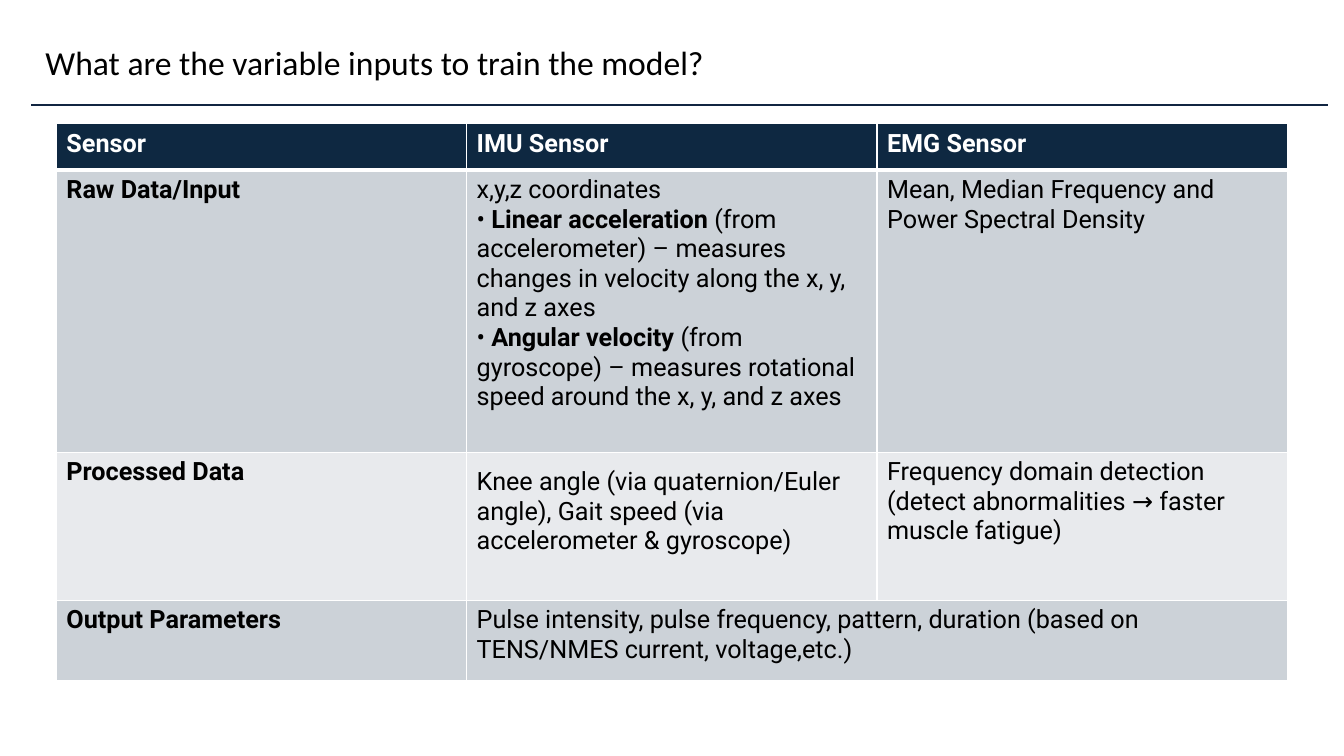
from lxml import etree
from pptx import Presentation
from pptx.dml.color import RGBColor
from pptx.enum.shapes import MSO_CONNECTOR
from pptx.enum.text import MSO_ANCHOR, PP_ALIGN
from pptx.oxml.ns import qn
from pptx.util import Cm, Pt

STRAIGHT = MSO_CONNECTOR.STRAIGHT
TOP, MIDDLE = MSO_ANCHOR.TOP, MSO_ANCHOR.MIDDLE
LEFT = PP_ALIGN.LEFT
TITLE_ONLY = 5

HEADER = [[[("Sensor", True)]], [[("IMU Sensor", True)]], [[("EMG Sensor", True)]]]
RAW_DATA = [
    [[("Raw Data/Input", True)]],
    [
        [("x,y,z coordinates", False)],
        [("• ", False), ("Linear acceleration", True),
         (" (from accelerometer) – measures changes in velocity along the x, y, and z axes", False)],
        [("• ", False), ("Angular velocity", True),
         (" (from gyroscope) – measures rotational speed around the x, y, and z axes", False)],
    ],
    [[("Mean, Median Frequency and Power Spectral Density", False)]],
]
PROCESSED = [
    [[("Processed Data", True)]],
    [[("Knee angle (via quaternion/Euler angle), Gait speed (via accelerometer & gyroscope)", False)]],
    [[("Frequency domain detection (detect abnormalities → faster muscle fatigue)", False)]],
]
OUTPUT = [
    [[("Output Parameters", True)]],
    [[("Pulse intensity, pulse frequency, pattern, duration (based on TENS/NMES current, voltage,etc.)", False)]],
]
ROWS = [HEADER, RAW_DATA, PROCESSED, OUTPUT]
ROW_HEIGHTS = [1.17, 7.11, 3.73, 2.01]
COLUMN_WIDTH = 10.34


def color(value):
    return RGBColor.from_string(value)


class SlideBuilder:
    black, white, navy, rule_navy = "000000", "FFFFFF", "0E2841", "112541"
    bands = ["CCD2D8", "E8EAED"]
    title_font, table_font = "Calibri", "Roboto"

    def __init__(self, page):
        self.page = page

    def span(self, para, text, font, size, ink, bold=False):
        span = para.add_run()
        span.text = text
        span.font.name = font
        span.font.size = Pt(size)
        span.font.bold = bold
        span.font.color.rgb = color(ink)

    def title(self, text, left, top, width, height):
        box = self.page.shapes.title
        box.left, box.top, box.width, box.height = Cm(left), Cm(top), Cm(width), Cm(height)
        box.text_frame.word_wrap = True
        box.text_frame.vertical_anchor = TOP
        para = box.text_frame.paragraphs[0]
        para.alignment = LEFT
        self.span(para, text, self.title_font, 24, self.black)

    def rule(self, left, right, top):
        line = self.page.shapes.add_connector(STRAIGHT, Cm(left), Cm(top), Cm(right), Cm(top))
        line.line.color.rgb = color(self.rule_navy)
        line.line.width = Pt(1.5)
        etree.SubElement(line._element.spPr, qn("a:effectLst"))

    def borders(self, cell, bottom, top):
        properties = cell._tc.get_or_add_tcPr()
        widths = {"lnL": 1, "lnR": 1, "lnT": top, "lnB": bottom}
        for position, (side, width) in enumerate(widths.items()):
            line = etree.Element(qn(f"a:{side}"), w=str(Pt(width)))
            fill = etree.SubElement(line, qn("a:solidFill"))
            etree.SubElement(fill, qn("a:srgbClr"), val=self.white)
            properties.insert(position, line)

    def cell_text(self, cell, paragraphs, ink):
        for number, spans in enumerate(paragraphs):
            frame = cell.text_frame
            para = frame.add_paragraph() if number else frame.paragraphs[0]
            for text, bold in spans:
                self.span(para, text, self.table_font, 18, ink, bold)

    def table(self, rows, heights, column_width, left, top):
        columns = len(rows[0])
        frame = self.page.shapes.add_table(
            len(rows), columns, Cm(left), Cm(top), Cm(column_width * columns), Cm(sum(heights)))
        table = frame.table
        for column in table.columns:
            column.width = Cm(column_width)
        for row, height in enumerate(heights):
            table.rows[row].height = Cm(height)
            for column in range(columns):
                cell = table.cell(row, column)
                cell.fill.solid()
                cell.fill.fore_color.rgb = color(self.bands[(row - 1) % 2] if row else self.navy)
                self.borders(cell, 1 if row else 3, 3 if row == 1 else 1)
            for column, paragraphs in enumerate(rows[row]):
                self.cell_text(table.cell(row, column), paragraphs, self.black if row else self.white)
        return table


def main():
    deck = Presentation()
    deck.slide_width, deck.slide_height = Cm(33.87), Cm(19.05)
    builder = SlideBuilder(deck.slides.add_slide(deck.slide_layouts[TITLE_ONLY]))
    builder.rule(0.79, 33.48, 2.64)
    builder.title("What are the variable inputs to train the model?", 0.89, 0.94, 22.05, 1.27)
    table = builder.table(ROWS, ROW_HEIGHTS, COLUMN_WIDTH, 1.42, 3.12)
    table.cell(3, 1).merge(table.cell(3, 2))
    knee_cell = table.cell(2, 1)
    knee_cell.vertical_anchor = MIDDLE
    knee_cell.margin_bottom = Cm(0.86)
    deck.save("out.pptx")


if __name__ == "__main__":
    main()
